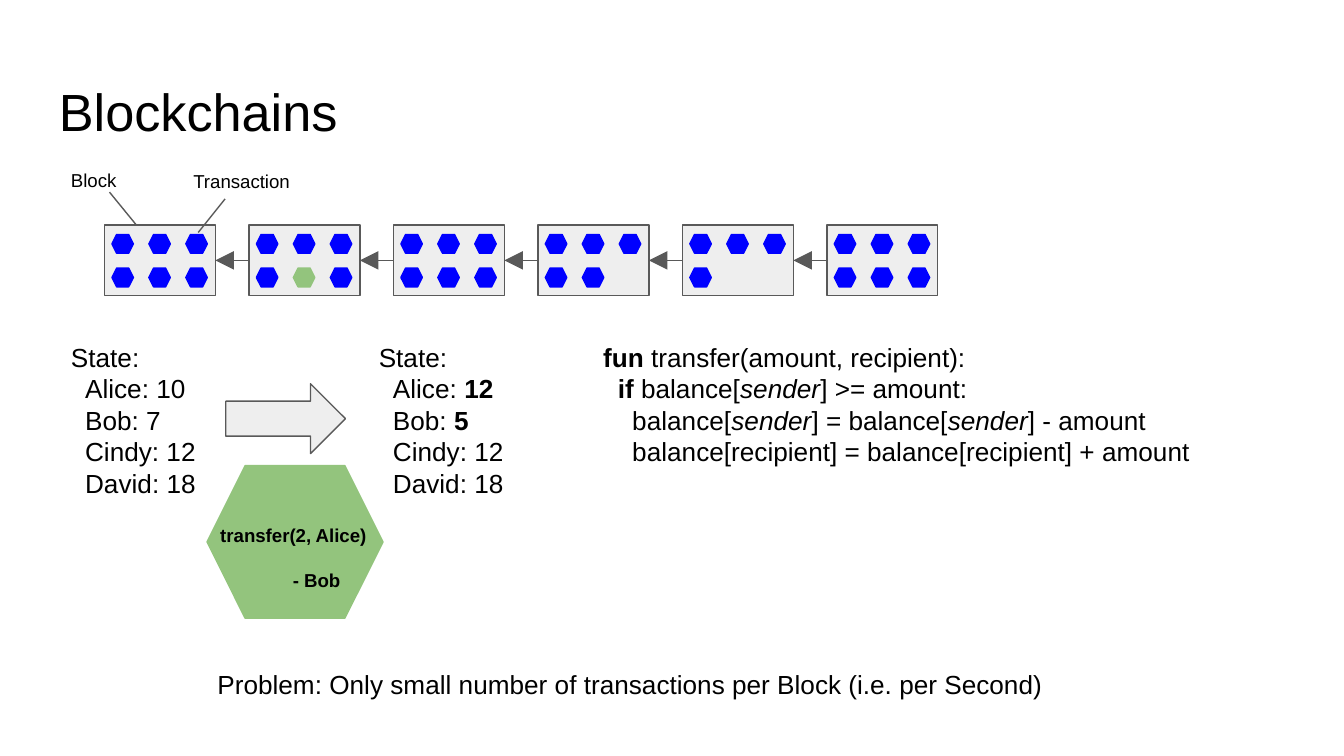
from lxml import etree
from pptx import Presentation
from pptx import util as u
from pptx.dml.color import RGBColor
from pptx.enum import shapes, text
from pptx.oxml.ns import qn

BLACK = RGBColor(0x00, 0x00, 0x00)
GREY = RGBColor(0x59, 0x59, 0x59)
PALE = RGBColor(0xEE, 0xEE, 0xEE)
BLUE = RGBColor(0x00, 0x00, 0xFF)
GREEN = RGBColor(0x93, 0xC4, 0x7D)
SHAPE = shapes.MSO_SHAPE

prs = Presentation()
prs.slide_width = u.Inches(10)
prs.slide_height = prs.slide_width * 9 // 16
s = prs.slides.add_slide(prs.slide_layouts[6])

# The slide is a grid of 100 columns by 56.25 rows.
COL = prs.slide_width / 100
ROW = prs.slide_height / 56.25


def add(kind, x, y, w, h, fill=None, line=None):
    """Place a preset shape, or a text box when kind is None, in grid units."""
    at = [int(v) for v in (x * COL, y * ROW, w * COL, h * ROW)]
    if kind is None:
        return s.shapes.add_textbox(*at)
    sp = s.shapes.add_shape(kind, *at)
    sp.shadow.inherit = False
    sp.fill.solid()
    sp.fill.fore_color.rgb = fill
    sp.line.color.rgb = line
    sp.line.width = u.Pt(0.75)
    return sp


def connect(x1, y1, x2, y2):
    c = s.shapes.add_connector(shapes.MSO_CONNECTOR.STRAIGHT, int(x1 * COL),
                               int(y1 * ROW), int(x2 * COL), int(y2 * ROW))
    c.line.color.rgb = GREY
    c.line.width = u.Pt(0.75)
    etree.SubElement(c._element.spPr, qn("a:effectLst"))
    return c


# Chain of blocks, each pointing back to the one before
BLOCK_X, BLOCK_Y, BLOCK_W, BLOCK_H, BLOCK_STEP = 7.78, 16.75, 8.25, 5.25, 10.75
TRANSACTIONS = [6, 6, 6, 5, 4, 6]
HIGHLIGHT = (1, 4)
previous = None
for b, count in enumerate(TRANSACTIONS):
    x = BLOCK_X + b * BLOCK_STEP
    block = add(SHAPE.RECTANGLE, x, BLOCK_Y, BLOCK_W, BLOCK_H, PALE, GREY)
    if previous is not None:
        mid = BLOCK_Y + BLOCK_H / 2
        c = connect(x, mid, x - BLOCK_STEP + BLOCK_W, mid)
        c.begin_connect(block, 1)
        c.end_connect(previous, 3)
        ln = c._element.spPr.find(qn("a:ln"))
        etree.SubElement(ln, qn("a:tailEnd"), type="triangle", w="lg", len="lg")
    previous = block
    for t in range(count):
        row, col = divmod(t, 3)
        color = GREEN if (b, t) == HIGHLIGHT else BLUE
        add(SHAPE.HEXAGON, x + 0.55 + col * 2.75, BLOCK_Y + 0.7 + row * 2.5,
            1.6, 1.4, color, color)

connect(8.15, 14.3, 10.15, 16.75)
connect(14.75, 17.3, 16.75, 14.8)

# State transition
add(SHAPE.RIGHT_ARROW, 16.8, 28.55, 8.9, 5.2, PALE, GREY)
add(SHAPE.HEXAGON, 15.4, 34.65, 13.1, 11.35, GREEN, GREEN)

# Each text: box, size, lines made of (words, style) runs with b bold, i italic
before = [[("State:", "")], [("Alice: 10", "")], [("Bob: 7", "")],
          [("Cindy: 12", "")], [("David: 18", "")]]
after = [before[0], [("Alice: ", ""), ("12", "b")], [("Bob: ", ""), ("5", "b")],
         *before[3:]]
code = [
    [("fun", "b"), (" transfer(amount, recipient):", "")],
    [("  ", ""), ("if", "b"), (" balance[", ""), ("sender", "i"), ("] >= amount:", "")],
    [("    balance[", ""), ("sender", "i"), ("] = balance[", ""), ("sender", "i"),
     ("] - amount", "")],
    [("    balance[recipient] = balance[recipient] + amount", "")],
]
call = [[("transfer(2, Alice)", "b")], [("- Bob", "b")]]
problem = [[("Problem: Only small number of transactions per Block (i.e. per Second)", "")]]
TEXTS = [
    ((3.4, 4.9, 93.2, 6.3), 28, [[("Blockchains", "")]]),
    ((4.3, 11.75, 6.4, 3.3), 10, [[("Block", "")]]),
    ((13.4, 11.8, 9.7, 3.3), 10, [[("Transaction", "")]]),
    ((4.3, 24.4, 12.4, 13.5), 14, before),
    ((27.2, 24.4, 12.4, 13.5), 14, after),
    ((43.9, 24.4, 46.4, 14.3), 14, code),
    ((15.4, 38, 13.1, 4.7), 10, call),
    ((9.9, 48.7, 74, 6.2), 14, problem),
]
for box, size, lines in TEXTS:
    sp = add(None, *box)
    tf = sp.text_frame
    tf.word_wrap = True
    tf.margin_left = tf.margin_right = tf.margin_top = tf.margin_bottom = u.Inches(0.1)
    for n, line in enumerate(lines):
        p = tf.paragraphs[0] if n == 0 else tf.add_paragraph()
        if n and lines in (before, after):
            p._p.get_or_add_pPr().set("marL", str(int(1.05 * COL)))
        elif n and lines is call:
            p._p.get_or_add_pPr().set("marL", str(int(5.4 * COL)))
            p.space_before = u.Pt(12)
        elif lines is problem:
            p.alignment = text.PP_ALIGN.CENTER
        for words, style in line:
            r = p.add_run()
            r.text = words
            r.font.name = "Arial"
            r.font.size = u.Pt(size)
            r.font.color.rgb = BLACK
            r.font.bold = "b" in style
            r.font.italic = "i" in style

prs.save("out.pptx")
